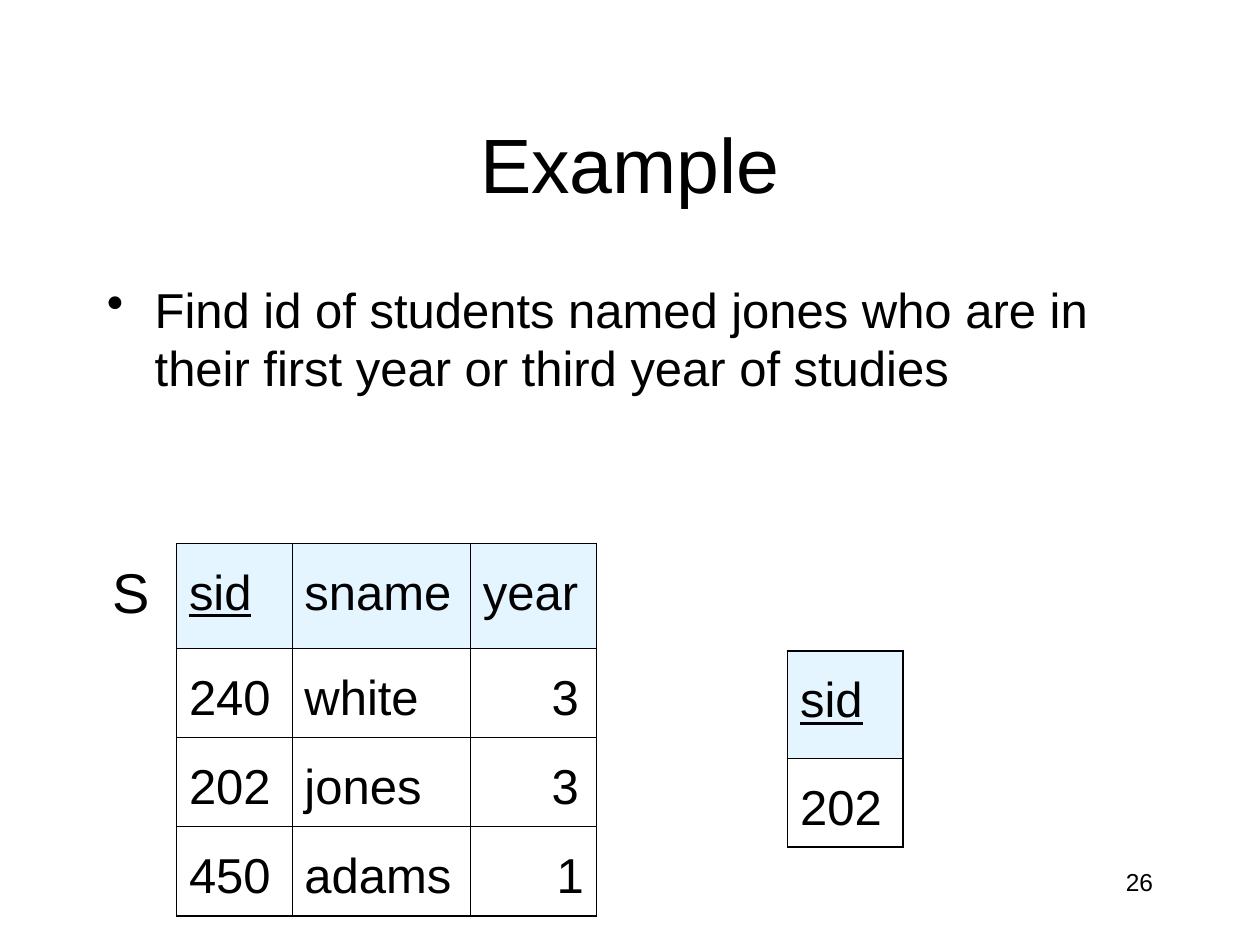
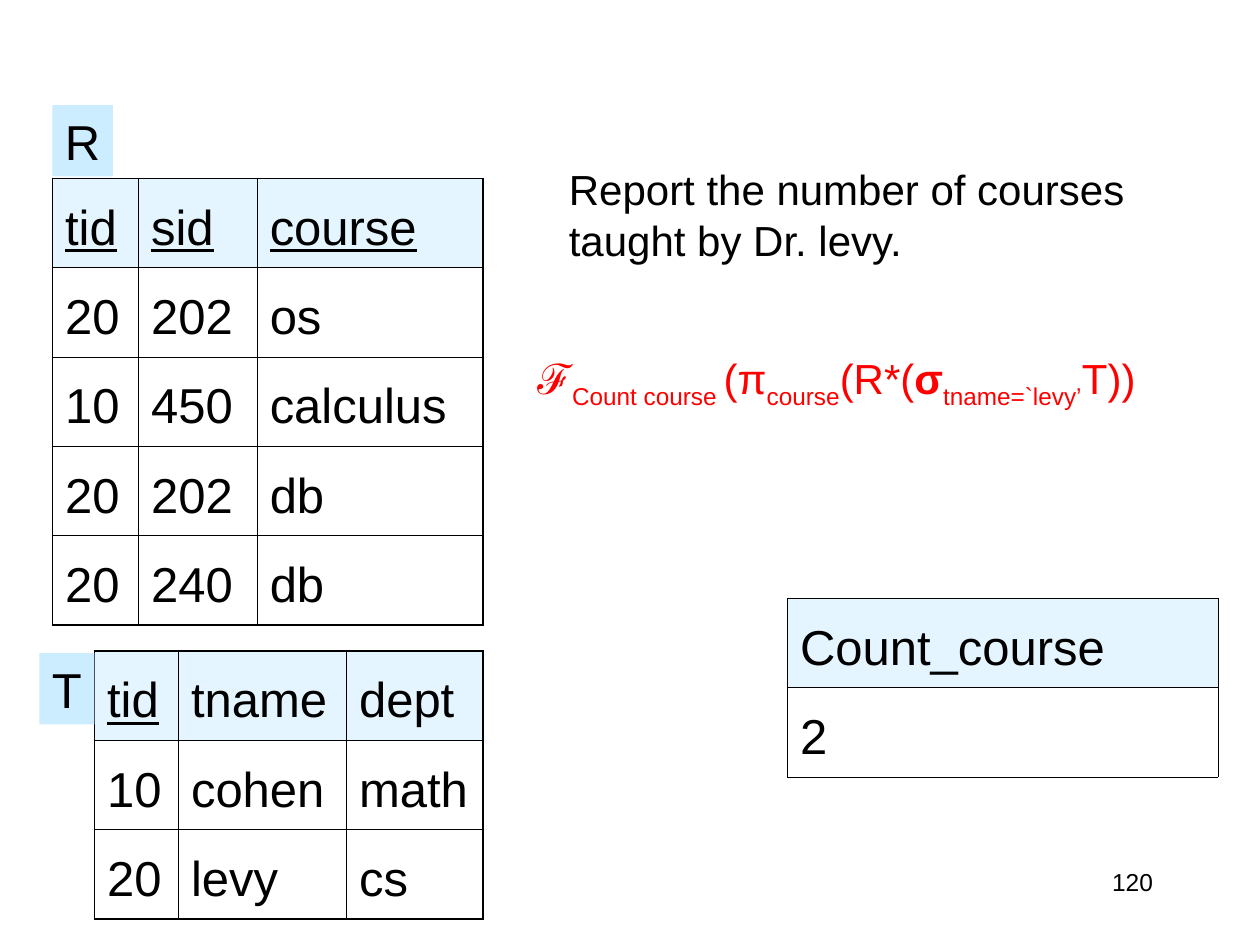
from lxml.etree import SubElement
from pptx import Presentation
from pptx.dml.color import RGBColor
from pptx.enum.shapes import MSO_SHAPE as Shape
from pptx.enum.text import MSO_ANCHOR as Anchor, PP_ALIGN as Align
from pptx.oxml.ns import qn
from pptx.util import Inches, Pt

BLACK = RGBColor(0, 0, 0)
RED = RGBColor(255, 0, 0)
SKY = RGBColor(0xCC, 0xEC, 0xFF)
FONT = "Arial"
TITLE_ONLY, BLANK = 5, 6

# The slide is a grid of 120 columns by 90 rows, twelve to the inch.
COLUMNS, ROWS = 120, 90
ROW_HEIGHT = 8.5
OUTER, INNER = Pt(1.08), Pt(0.45)
SUB = -25


def grid(*units):
    return [Inches(unit / 12) for unit in units]


def add_span(para, text, size=28, color=BLACK, bold=False, underline=False, baseline=0):
    span = para.add_run()
    span.text = text
    font = span.font
    font.name, font.size, font.bold, font.underline = FONT, Pt(size), bold, underline
    font.color.rgb = color
    if baseline:
        span._r.get_or_add_rPr().set("baseline", str(baseline * 1000))


def add_text(page, place, text, align=Align.LEFT, wrap=True, bullet=False, **style):
    """Text is a string, or a list of (string, extra style) spans."""
    box = page.shapes.add_textbox(*grid(*place))
    frame = box.text_frame
    frame.word_wrap = wrap
    para = frame.paragraphs[0]
    para.alignment = align
    if bullet:
        properties = para._p.get_or_add_pPr()
        properties.set("marL", str(Inches(0.38)))
        properties.set("indent", str(-Inches(0.38)))
        SubElement(properties, qn("a:buChar"), char="•")
    spans = [(text, {})] if isinstance(text, str) else text
    for words, extra in spans:
        add_span(para, words, **{**style, **extra})


def add_title(page, text):
    title = page.shapes.title
    title.left, title.top, title.width, title.height = grid(9, 8, 102, 15)
    frame = title.text_frame
    frame.vertical_anchor = Anchor.MIDDLE
    para = frame.paragraphs[0]
    para.alignment = Align.CENTER
    add_span(para, text, size=44)


def add_page_number(page, number):
    add_text(page, (86, 82, 25, 6), str(number), align=Align.RIGHT, size=14)


def add_relation_name(page, place, name):
    tag = page.shapes.add_shape(Shape.RECTANGLE, *grid(*place))
    tag.shadow.inherit = False
    tag.fill.solid()
    tag.fill.fore_color.rgb = SKY
    tag.line.fill.background()
    frame = tag.text_frame
    frame.word_wrap = False
    frame.vertical_anchor = Anchor.TOP
    para = frame.paragraphs[0]
    para.alignment = Align.LEFT
    add_span(para, name)


def set_borders(cell, widths):
    properties = cell._tc.get_or_add_tcPr()
    for side, width in zip("LRTB", widths):
        line = SubElement(properties, qn(f"a:ln{side}"), w=str(width))
        fill = SubElement(line, qn("a:solidFill"))
        SubElement(fill, qn("a:srgbClr"), val=str(BLACK))


def fill_header(cell):
    """Fill with half-transparent sky blue."""
    cell.fill.solid()
    cell.fill.fore_color.rgb = SKY
    color = cell._tc.tcPr.find(f".//{qn('a:solidFill')}[last()]")
    color = cell._tc.tcPr.find(qn("a:solidFill")).find(qn("a:srgbClr"))
    SubElement(color, qn("a:alpha"), val="50000")


def add_relation(page, left, top, widths, records, keys=(), header_height=ROW_HEIGHT,
                 outer=OUTER):
    """Add a table whose first record is the header; keys are underlined there."""
    heights = [header_height] + [ROW_HEIGHT] * (len(records) - 1)
    place = grid(left, top, sum(widths), sum(heights))
    table = page.shapes.add_table(len(records), len(widths), *place).table
    table.first_row = table.horz_banding = False
    for column, width in zip(table.columns, grid(*widths)):
        column.width = width
    for row, height in zip(table.rows, grid(*heights)):
        row.height = height
    last_row, last_column = len(records) - 1, len(widths) - 1
    for i, record in enumerate(records):
        for j, value in enumerate(record):
            cell = table.cell(i, j)
            edges = (j == 0, j == last_column, i == 0, i == last_row)
            set_borders(cell, [outer if edge else INNER for edge in edges])
            if i == 0:
                fill_header(cell)
            else:
                cell.fill.background()
            para = cell.text_frame.paragraphs[0]
            para.line_spacing = 1.3
            add_span(para, value, underline=i == 0 and value in keys)
    return table


def align_years(table):
    for row in range(1, len(table.rows)):
        cell = table.cell(row, 2)
        cell.text_frame.paragraphs[0].alignment = Align.RIGHT
        if row < len(table.rows) - 1:
            cell.margin_right = Inches(0.14)


def build_selection_example(deck):
    page = deck.slides.add_slide(deck.slide_layouts[TITLE_ONLY])
    add_title(page, "Example")
    add_text(page, (9, 26, 102, 54),
             "Find id of students named jones who are in their first year "
             "or third year of studies", bullet=True)
    add_text(page, (9.5, 52.5, 6, 7.5), "S", align=Align.RIGHT, size=32)
    students = add_relation(page, 16.8, 51.75, (11, 17, 12), [
        ("sid", "sname", "year"),
        ("240", "white", "3"),
        ("202", "jones", "3"),
        ("450", "adams", "1"),
    ], keys=("sid",), header_height=10)
    align_years(students)
    add_relation(page, 75, 62, (11,), [("sid",), ("202",)], keys=("sid",),
                 header_height=10.2)
    add_page_number(page, 26)


def build_count_example(deck):
    page = deck.slides.add_slide(deck.slide_layouts[BLANK])
    add_relation(page, 5, 17, (8.2, 11.3, 21.5), [
        ("tid", "sid", "course"),
        ("20", "202", "os"),
        ("10", "450", "calculus"),
        ("20", "202", "db"),
        ("20", "240", "db"),
    ], keys=("tid", "sid", "course"))
    add_relation(page, 9, 62, (8, 16, 13), [
        ("tid", "tname", "dept"),
        ("10", "cohen", "math"),
        ("20", "levy", "cs"),
    ], keys=("tid",))
    add_text(page, (53, 15, 61, 15.6),
             "Report the number of courses taught by Dr. levy.", size=24)
    add_relation_name(page, (3.75, 62.2, 5.25, 6.8), "T")
    add_relation_name(page, (5, 10, 5.75, 6.8), "R")
    add_relation(page, 75, 57, (41,), [("Count_course",), ("2",)], outer=INNER)
    add_page_number(page, 120)
    add_text(page, (50, 33, 70, 6.7), [
        ("ℱ", {}),
        ("Count course ", {"baseline": SUB}),
        ("(π", {}),
        ("course", {"baseline": SUB}),
        ("(R*(", {}),
        ("σ", {"bold": True}),
        ("tname=`levy’", {"baseline": SUB}),
        ("T))", {}),
    ], size=24, color=RED)


def main():
    deck = Presentation()
    deck.slide_width, deck.slide_height = grid(COLUMNS, ROWS)
    build_selection_example(deck)
    build_count_example(deck)
    deck.save("out.pptx")


if __name__ == "__main__":
    main()
